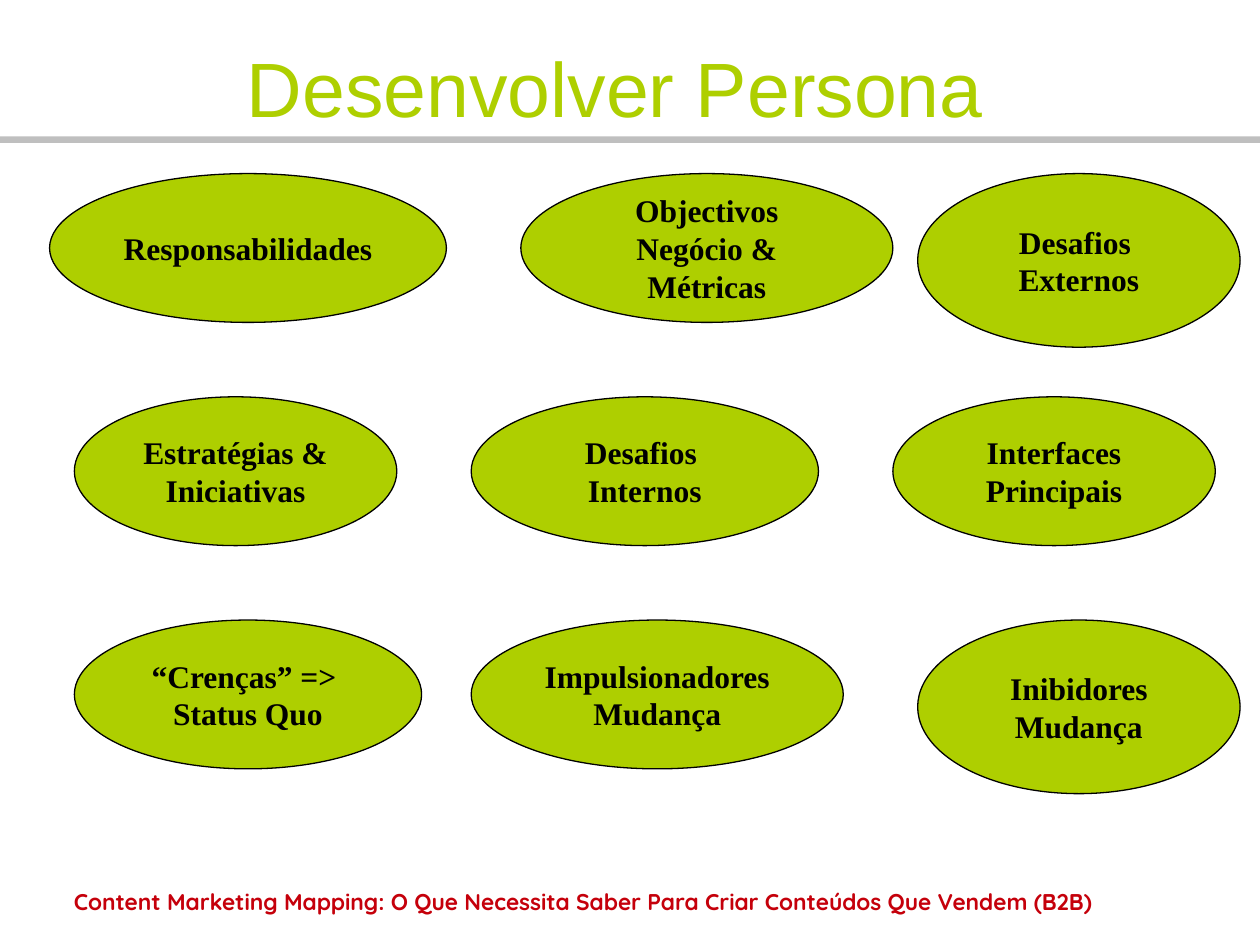
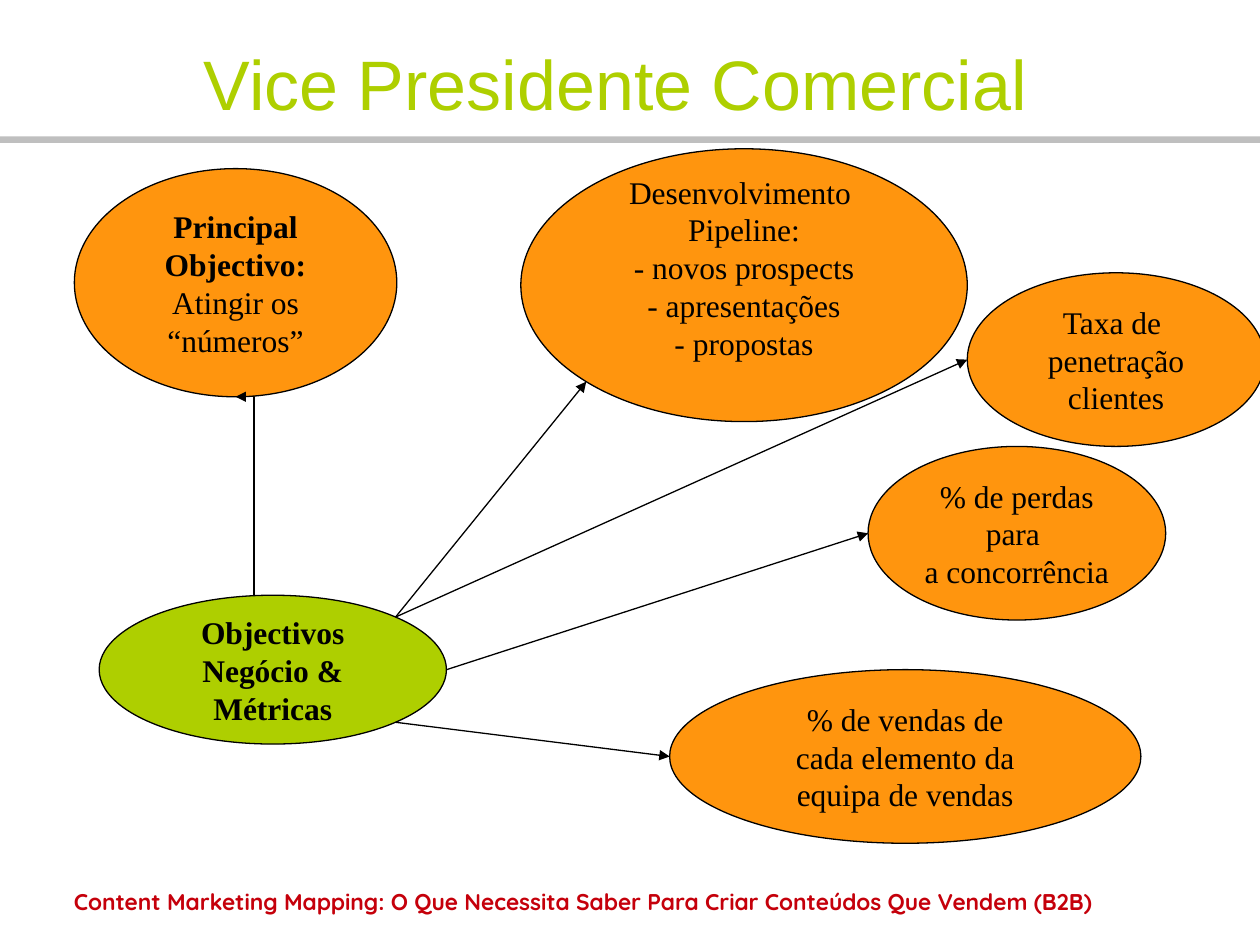
from math import sqrt

from lxml import etree
from pptx import Presentation
from pptx.dml.color import RGBColor
from pptx.enum.shapes import MSO_CONNECTOR, MSO_SHAPE
from pptx.enum.text import MSO_ANCHOR, MSO_AUTO_SIZE, PP_ALIGN
from pptx.oxml.ns import qn
from pptx.util import Cm, Pt

RECTANGLE, OVAL = MSO_SHAPE.RECTANGLE, MSO_SHAPE.OVAL
STRAIGHT, ELBOW = MSO_CONNECTOR.STRAIGHT, MSO_CONNECTOR.ELBOW
TOP, MIDDLE = MSO_ANCHOR.TOP, MSO_ANCHOR.MIDDLE
CENTER, LEFT = PP_ALIGN.CENTER, PP_ALIGN.LEFT
NO_AUTOFIT = MSO_AUTO_SIZE.NONE

GREEN, ORANGE, GREY, RED, BLACK = "AECF00", "FF950E", "BFBFBF", "C5000B", "000000"
SLIDE_W, SLIDE_H = 25.4, 19.05
TITLE_BOX = (3.5, 0.5, 17.8, 2.03)
BAND_BOX = (0, 2.75, SLIDE_W, 0.13)
FOOTER_BOX = (1.24, 17.78, 23.2, 1.27)
FOOTER = "Content Marketing Mapping: O Que Necessita Saber Para Criar Conteúdos Que Vendem (B2B)"
GOALS = ["Objectivos", "Negócio &", "Métricas"]
DIAGONAL = 1 / sqrt(2)


def rgb(value):
    return RGBColor.from_string(value)


def cm_box(box):
    return [Cm(v) for v in box]


def format_paragraph(p, name, size, color, bold=False, align=CENTER):
    p.alignment = align
    p.font.name, p.font.size, p.font.bold = name, Pt(size), bold
    p.font.color.rgb = rgb(color)


def set_insets(tf, left, top, right, bottom):
    tf.margin_left, tf.margin_top = Cm(left), Cm(top)
    tf.margin_right, tf.margin_bottom = Cm(right), Cm(bottom)


def add_title(s, text, size):
    title = s.shapes.title
    title.left, title.top, title.width, title.height = cm_box(TITLE_BOX)
    tf = title.text_frame
    tf.text = text
    tf.word_wrap, tf.auto_size, tf.vertical_anchor = True, NO_AUTOFIT, TOP
    set_insets(tf, 0, 0.32, 0, 0)
    format_paragraph(tf.paragraphs[0], "Arial", size, GREEN)


def add_band(s):
    band = s.shapes.add_shape(RECTANGLE, *cm_box(BAND_BOX))
    band.shadow.inherit = False
    band.fill.solid()
    band.fill.fore_color.rgb = rgb(GREY)
    band.line.fill.background()


def add_footer(s):
    tf = s.shapes.add_textbox(*cm_box(FOOTER_BOX)).text_frame
    tf.word_wrap = True
    tf.text = FOOTER
    format_paragraph(tf.paragraphs[0], "Quicksand", 13, RED, True, LEFT)


def new_slide(prs, title, size):
    s = prs.slides.add_slide(prs.slide_layouts[5])
    add_band(s)
    add_footer(s)
    add_title(s, title, size)
    return s


def add_bubble(s, box, lines, color, bold_lines=0, bottom=0.13):
    sp = s.shapes.add_shape(OVAL, *cm_box(box))
    sp.shadow.inherit = False
    sp.fill.solid()
    sp.fill.fore_color.rgb = rgb(color)
    sp.line.color.rgb = rgb(BLACK)
    sp.line.width = Pt(0.75)
    tf = sp.text_frame
    tf.word_wrap, tf.vertical_anchor = True, MIDDLE
    set_insets(tf, 0.25, 0.13, 0.25, bottom)
    tf.text = "\n".join(lines)
    for i, p in enumerate(tf.paragraphs):
        format_paragraph(p, "Times New Roman", 18, BLACK, i < bold_lines)


def edge_point(box, dx, dy):
    x, y, w, h = box
    reach = DIAGONAL if dx and dy else 1
    return x + w / 2 * (1 + dx * reach), y + h / 2 * (1 + dy * reach)


def add_arrow(s, kind, start, end):
    line = s.shapes.add_connector(kind, *cm_box(start + end))
    line.line.color.rgb = rgb(BLACK)
    line.line.width = Pt(0.75)
    etree.SubElement(line.line._get_or_add_ln(), qn("a:tailEnd"), type="triangle")
    etree.SubElement(line._element.spPr, qn("a:effectLst"))


def persona_slide(prs):
    s = new_slide(prs, "Desenvolver Persona", 44)
    rows = [
        [(1, 8, 3, ["Responsabilidades"]),
         (10.5, 7.5, 3, GOALS),
         (18.5, 6.5, 3.5, ["Desafios ", "Externos"])],
        [(1.5, 6.5, 3, ["Estratégias &", "Iniciativas"]),
         (9.5, 7, 3, ["Desafios ", "Internos"]),
         (18, 6.5, 3, ["Interfaces", "Principais"])],
        [(1.5, 7, 3, ["“Crenças” => ", "Status Quo"]),
         (9.5, 7.5, 3, ["Impulsionadores", "Mudança"]),
         (18.5, 6.5, 3.5, ["Inibidores", "Mudança"])],
    ]
    for i, row in enumerate(rows):
        for x, w, h, lines in row:
            add_bubble(s, (x, 3.5 + 4.5 * i, w, h), lines, GREEN, len(lines))


def sales_vp_slide(prs):
    s = new_slide(prs, "Vice Presidente Comercial", 40)
    goals = (2, 12, 7, 3)
    main_goal = (1.5, 3.4, 6.5, 4.6)
    pipeline = (10.5, 3, 9, 5.5)
    penetration = (19.5, 5.5, 6, 3.5)
    losses = (17.5, 9, 6, 3.5)
    team_sales = (13.5, 13.5, 9.5, 3.5)

    add_bubble(s, goals, GOALS, GREEN, len(GOALS))
    add_bubble(s, pipeline, ["Desenvolvimento ", "Pipeline:", "- novos prospects",
                             "- apresentações", "- propostas"], ORANGE, bottom=0.86)
    add_bubble(s, main_goal, ["Principal Objectivo:", "Atingir os “números”"], ORANGE, 1)
    add_bubble(s, losses, ["% de perdas para ", "a concorrência"], ORANGE)
    add_bubble(s, penetration, ["Taxa de ", "penetração", "clientes"], ORANGE)
    add_bubble(s, team_sales, ["% de vendas de", "cada elemento da", "equipa de vendas"], ORANGE)

    add_arrow(s, ELBOW, edge_point(goals, 0, -1), edge_point(main_goal, 0, 1))
    for side, target, target_side in [
        ((1, -1), penetration, (-1, 0)),
        ((1, 1), team_sales, (-1, 0)),
        ((1, 0), losses, (-1, 0)),
        ((1, -1), pipeline, (-1, 1)),
    ]:
        add_arrow(s, STRAIGHT, edge_point(goals, *side), edge_point(target, *target_side))


def main():
    prs = Presentation()
    prs.slide_width, prs.slide_height = Cm(SLIDE_W), Cm(SLIDE_H)
    persona_slide(prs)
    sales_vp_slide(prs)
    prs.save("out.pptx")


if __name__ == "__main__":
    main()
